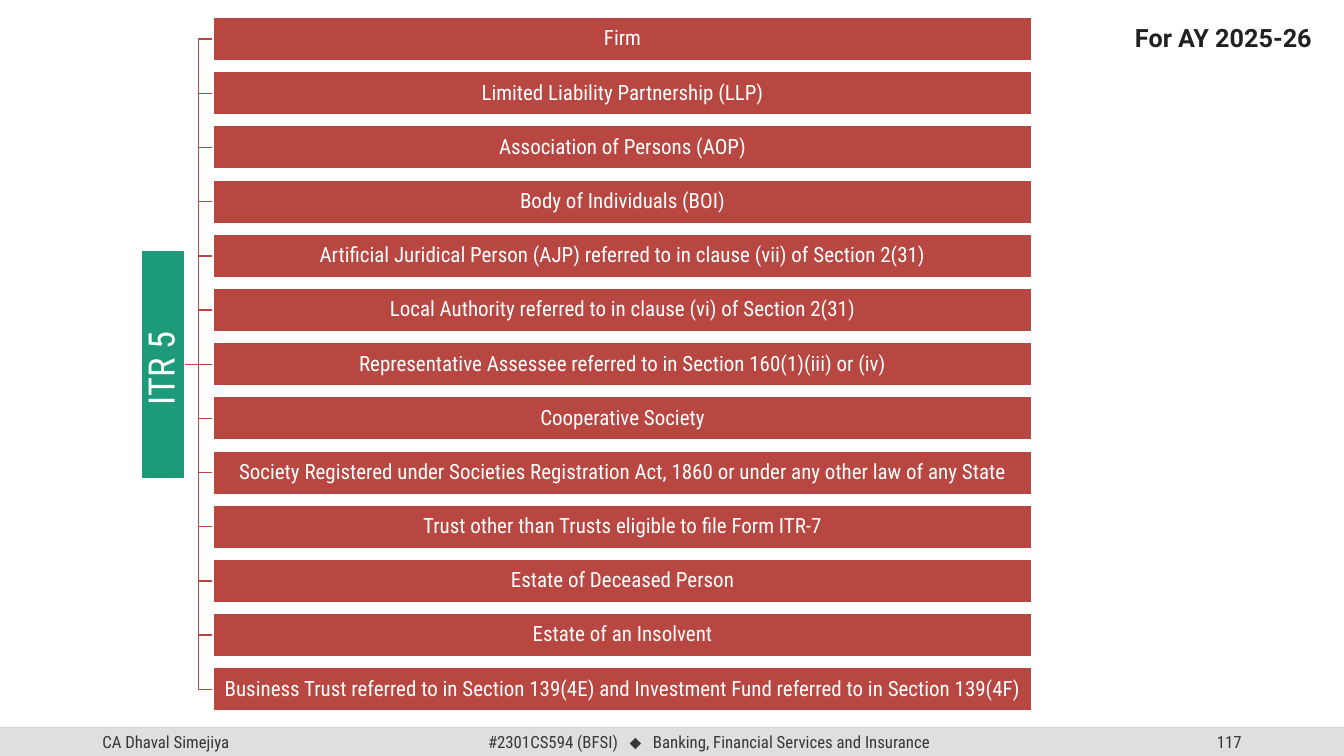
"""Build the slide on who files ITR 5."""
from lxml.etree import SubElement
from pptx import Presentation
from pptx.dml.color import RGBColor
from pptx.enum.shapes import MSO_CONNECTOR, MSO_SHAPE
from pptx.enum.text import MSO_ANCHOR, MSO_AUTO_SIZE, PP_ALIGN
from pptx.oxml.ns import qn
from pptx.util import Pt

COLORS = {"red": "B84742", "green": "1D9A78", "white": "FFFFFF",
          "gray": "DFDFDF", "rule": "BFBFBF", "foot": "373737",
          "dark": "212121"}
FONT = "Roboto Condensed"
FILERS = [
    "Firm",
    "Limited Liability Partnership (LLP)",
    "Association of Persons (AOP)",
    "Body of Individuals (BOI)",
    "Artificial Juridical Person (AJP) referred to in clause (vii) of Section 2(31)",
    "Local Authority referred to in clause (vi) of Section 2(31)",
    "Representative Assessee referred to in Section 160(1)(iii) or (iv)",
    "Cooperative Society",
    "Society Registered under Societies Registration Act, 1860 or under any other law of any State",
    "Trust other than Trusts eligible to file Form ITR-7",
    "Estate of Deceased Person",
    "Estate of an Insolvent",
    "Business Trust referred to in Section 139(4E) and Investment Fund referred to in Section 139(4F)",
]
WIDE, HIGH = 960, 540
FOOT_TOP, FOOT_HIGH = 519.84, 20.16
HUB_LEN, HUB_MID, HUB_EDGE = 162.8, 116.3, 131.8
BAR_LEFT, BAR_WIDE, BAR_HIGH = 152.2, 585, 31
MID, PITCH = 260.2, 38.7


def color(name):
    return RGBColor.from_string(COLORS[name])


def style(run, size, tint, face=FONT, bold=False):
    run.font.name = face
    run.font.size = Pt(size)
    run.font.bold = bold
    run.font.color.rgb = color(tint)


def draw_line(shape, tint):
    shape.line.color.rgb = color(tint)
    shape.line.width = Pt(1)


def add_rule(slide, start, end, tint):
    rule = slide.shapes.add_connector(
        MSO_CONNECTOR.STRAIGHT, *(Pt(v) for v in start + end))
    draw_line(rule, tint)
    SubElement(rule._element.spPr, qn("a:effectLst"))
    return rule


def add_box(slide, left, top, wide, high, tint):
    box = slide.shapes.add_shape(
        MSO_SHAPE.RECTANGLE, Pt(left), Pt(top), Pt(wide), Pt(high))
    box.shadow.inherit = False
    box.fill.solid()
    box.fill.fore_color.rgb = color(tint)
    box.line.fill.background()
    return box


def add_label(slide, left, top, wide, high, tint, text, size, inset):
    box = add_box(slide, left, top, wide, high, tint)
    draw_line(box, "white")
    frame = box.text_frame
    frame.margin_left = frame.margin_right = Pt(inset)
    frame.margin_top = frame.margin_bottom = Pt(inset)
    frame.vertical_anchor = MSO_ANCHOR.MIDDLE
    frame.text = text
    para = frame.paragraphs[0]
    para.alignment = PP_ALIGN.CENTER
    para.line_spacing = 0.9
    style(para.runs[0], size, "white")
    return box


def add_branch(slide, level):
    if level == MID:
        add_rule(slide, (HUB_EDGE, MID), (BAR_LEFT, MID), "red")
        return
    bend = (HUB_EDGE + BAR_LEFT) / 2
    pen = slide.shapes.build_freeform(Pt(HUB_EDGE), Pt(MID))
    pen.add_line_segments(
        [(Pt(x), Pt(y)) for x, y in
         ((bend, MID), (bend, level), (BAR_LEFT, level))], close=False)
    branch = pen.convert_to_shape()
    branch.shadow.inherit = False
    branch.fill.background()
    draw_line(branch, "red")


def add_note(slide, left, wide, align, parts):
    note = slide.shapes.add_textbox(
        Pt(left), Pt(FOOT_TOP), Pt(wide), Pt(FOOT_HIGH))
    frame = note.text_frame
    frame.word_wrap = True
    frame.vertical_anchor = MSO_ANCHOR.MIDDLE
    para = frame.paragraphs[0]
    para.alignment = align
    for text, face, gap in parts:
        run = para.add_run()
        run.text = text
        style(run, 12, "foot", face)
        if gap:
            run._r.get_or_add_rPr().set("spc", str(gap))


def add_footer(slide):
    rule = add_rule(slide, (0, FOOT_TOP), (WIDE, FOOT_TOP), "rule")
    tint = rule._element.spPr.find(".//" + qn("a:srgbClr"))
    SubElement(tint, qn("a:alpha")).set("val", "70000")
    add_box(slide, 0, FOOT_TOP, WIDE, FOOT_HIGH, "gray")
    space = (" ", FONT, 550)
    add_note(slide, 678, 216, PP_ALIGN.RIGHT, [("117", FONT, 0)])
    add_note(slide, 318, 377, PP_ALIGN.CENTER, [
        ("#2301CS594 (BFSI)", FONT, 0), space, ("⬥", "Arial", 0), space,
        ("Banking, Financial Services and Insurance", FONT, 0)])
    add_note(slide, 66, 216, PP_ALIGN.LEFT, [("CA Dhaval Simejiya", FONT, 0)])


def add_tree(slide):
    levels = [MID + (i - len(FILERS) // 2) * PITCH
              for i in range(len(FILERS))]
    for level in levels:
        add_branch(slide, level)
    hub = add_label(slide, HUB_MID - HUB_LEN / 2, MID - BAR_HIGH / 2,
                    HUB_LEN, BAR_HIGH, "green", "ITR 5 ", 26, 1.3)
    hub.rotation = 270
    for level, filer in zip(levels, FILERS):
        add_label(slide, BAR_LEFT, level - BAR_HIGH / 2, BAR_WIDE, BAR_HIGH,
                  "red", filer, 15, 0.75)


def set_title(slide, text):
    title = slide.shapes.title
    title.left, title.top = Pt(803.5), Pt(12.2)
    title.width, title.height = Pt(156.5), Pt(29)
    frame = title.text_frame
    frame.text = text
    frame.word_wrap = True
    frame.auto_size = MSO_AUTO_SIZE.NONE
    frame.vertical_anchor = MSO_ANCHOR.TOP
    para = frame.paragraphs[0]
    para.alignment = PP_ALIGN.LEFT
    style(para.runs[0], 18, "dark", "Roboto", True)


def main():
    deck = Presentation()
    deck.slide_width, deck.slide_height = Pt(WIDE), Pt(HIGH)
    slide = deck.slides.add_slide(deck.slide_layouts[5])
    set_title(slide, "For AY 2025-26")
    add_footer(slide)
    add_tree(slide)
    deck.save("out.pptx")


if __name__ == "__main__":
    main()
